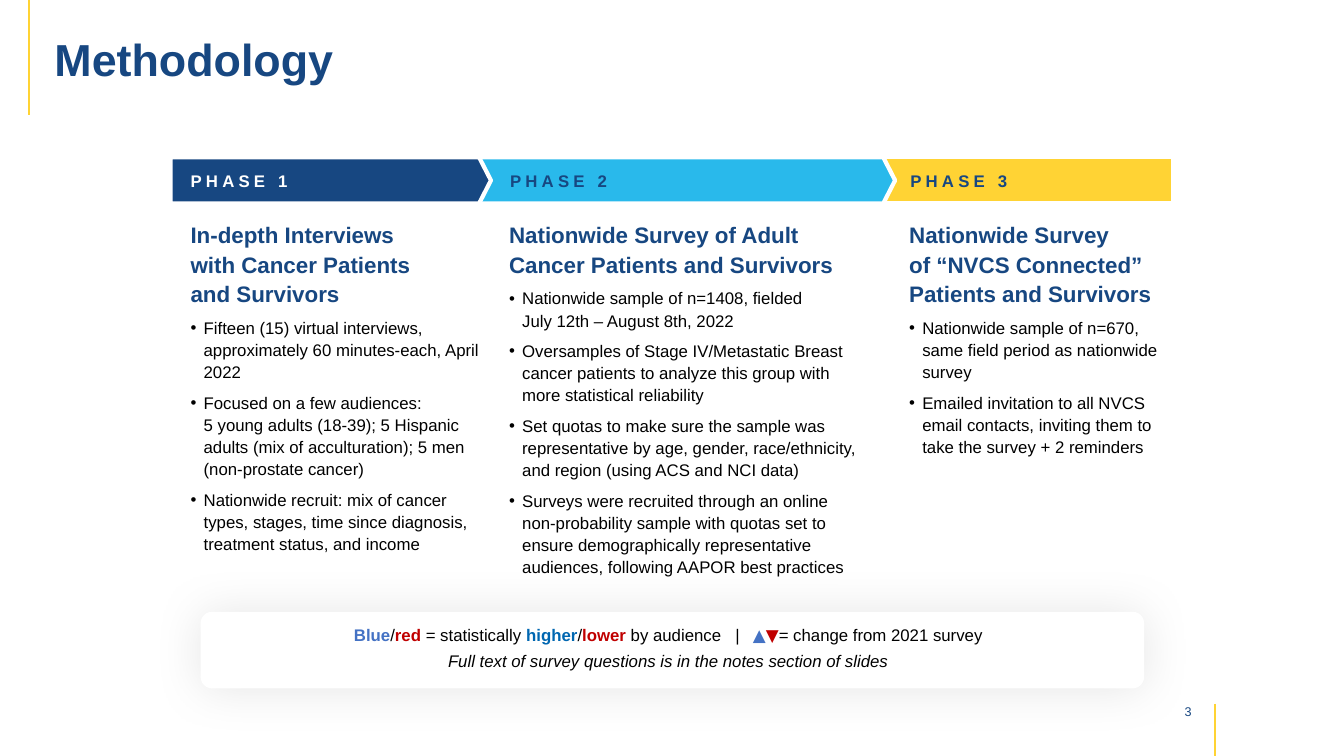
import copy
from dataclasses import dataclass
from typing import Any

import pptx
import pptx.dml.color
import pptx.enum.shapes
import pptx.enum.text
import pptx.oxml
import pptx.oxml.ns
import pptx.util

SHAPE = pptx.enum.shapes.MSO_SHAPE
ALIGN = pptx.enum.text.PP_ALIGN
ANCHOR = pptx.enum.text.MSO_ANCHOR
Pt = pptx.util.Pt
qn = pptx.oxml.ns.qn
NS = 'xmlns:a="http://schemas.openxmlformats.org/drawingml/2006/main"'


@dataclass(frozen=True)
class Theme:
    navy: str = "174781"
    sky: str = "29B9EB"
    yellow: str = "FFD334"
    white: str = "FFFFFF"
    black: str = "000000"
    red: str = "C00000"
    blue: str = "4472C4"
    strong_blue: str = "0067B1"
    font: str = "Arial"
    symbol_font: str = "Calibri"
    title: float = 32
    heading: float = 16
    body: float = 12
    small: float = 9


@dataclass(frozen=True)
class Box:
    x: float
    y: float
    w: float
    h: float


@dataclass(frozen=True)
class Phase:
    label: str
    arrow: Box
    point: float
    inset: float
    fill: str
    ink: str
    column: Box
    heading: str
    bullets: tuple[str, ...]


@dataclass(frozen=True)
class Piece:
    text: str
    color: str = "000000"
    bold: bool = False
    italic: bool = False
    font: str = "Arial"
    tracking: float = 0


T = Theme()
ARROW_Y, ARROW_H, COLUMN_Y = 20.8, 6.13, 28.27

PHASES = (
    Phase("PHASE 1", Box(12.68, ARROW_Y, 23.85, ARROW_H), 0.256, 0.2, T.navy, T.white,
          Box(13.43, COLUMN_Y, 23.18, 46),
          "In-depth Interviews\nwith Cancer Patients\nand Survivors",
          ("Fifteen (15) virtual interviews, approximately 60 minutes-each, April 2022",
           "Focused on a few audiences:\n5 young adults (18-39); 5 Hispanic adults "
           "(mix of acculturation); 5 men (non-prostate cancer)",
           "Nationwide recruit: mix of cancer types, stages, time since diagnosis, "
           "treatment status, and income")),
    Phase("PHASE 2", Box(35.7, ARROW_Y, 30.9, ARROW_H), 0.256, 0.3, T.sky, T.navy,
          Box(37.13, COLUMN_Y, 28.05, 49.07),
          "Nationwide Survey of Adult Cancer Patients and Survivors",
          ("Nationwide sample of n=1408, fielded\nJuly 12th – August 8th, 2022",
           "Oversamples of Stage IV/Metastatic Breast cancer patients to analyze this "
           "group with more statistical reliability",
           "Set quotas to make sure the sample was representative by age, gender, "
           "race/ethnicity, and region (using ACS and NCI data)",
           "Surveys were recruited through an online non-probability sample with quotas "
           "set to ensure demographically representative audiences, following AAPOR "
           "best practices")),
    Phase("PHASE 3", Box(65.48, ARROW_Y, 21.83, ARROW_H), 0, 0.3, T.yellow, T.navy,
          Box(66.9, COLUMN_Y, 20.4, 32.93),
          "Nationwide Survey\nof “NVCS Connected” Patients and Survivors",
          ("Nationwide sample of n=670, same field period as nationwide survey",
           "Emailed invitation to all NVCS email contacts, inviting them to take the "
           "survey + 2 reminders")),
)

LEGEND = (
    (Piece("Blue", T.blue, True), Piece("/"), Piece("red ", T.red, True),
     Piece("= statistically "), Piece("higher", T.strong_blue, True), Piece("/"),
     Piece("lower ", T.red, True), Piece("by audience"), Piece(" |", tracking=6.7),
     Piece(" ▲", T.blue, font=T.symbol_font), Piece("▼", T.red, font=T.symbol_font),
     Piece("= change from 2021 survey")),
    (Piece("Full text of survey questions is in the notes section of slides", italic=True),),
)

prs = pptx.Presentation()
prs.slide_width, prs.slide_height = pptx.util.Inches(13.333), pptx.util.Inches(7.5)
s = prs.slides.add_slide(prs.slide_layouts[4])


def across(share: float) -> int:
    return round(prs.slide_width * share / 100)


def down(share: float) -> int:
    return round(prs.slide_height * share / 100)


def rgb(color: str) -> Any:
    return pptx.dml.color.RGBColor.from_string(color)


def assign(obj: Any, values: dict[str, Any]) -> None:
    for name, value in values.items():
        setattr(obj, name, value)


def corners(box: Box) -> tuple[int, int, int, int]:
    return across(box.x), down(box.y), across(box.w), down(box.h)


def place(sp: Any, box: Box) -> None:
    assign(sp, dict(zip(("left", "top", "width", "height"), corners(box))))


def style(r: Any, size: float, color: str, bold: bool = False, italic: bool = False,
          font: str = T.font, tracking: float = 0) -> None:
    assign(r.font, {"name": font, "size": Pt(size), "bold": bold, "italic": italic})
    r.font.color.rgb = rgb(color)
    if tracking:
        r._r.get_or_add_rPr().set("spc", str(round(tracking * 100)))


def write(p: Any, text: str, size: float, color: str, **look: Any) -> None:
    p.text = text
    for r in p.runs:
        style(r, size, color, **look)
    for br in p._p.findall(qn("a:br")):
        br.append(copy.deepcopy(p.runs[0]._r.rPr))


def bullet(p: Any, char: str = "") -> None:
    pPr = p._p.get_or_add_pPr()
    indent = pptx.util.Inches(0.13) if char else 0
    pPr.set("marL", str(indent))
    pPr.set("indent", str(-indent))
    mark = f'<a:buChar {NS} char="{char}"/>' if char else f"<a:buNone {NS}/>"
    pPr.append(pptx.oxml.parse_xml(mark))


def add_rule(x: float, top: float, bottom: float) -> None:
    line = s.shapes.add_connector(pptx.enum.shapes.MSO_CONNECTOR.STRAIGHT,
                                  across(x), down(top), across(x), down(bottom))
    line.line.color.rgb, line.line.width = rgb(T.yellow), Pt(1.5)
    line._element.spPr.append(pptx.oxml.parse_xml(f"<a:effectLst {NS}/>"))


def add_block(kind: Any, box: Box, fill: str, outline: float, *adjust: float) -> Any:
    sp = s.shapes.add_shape(kind, *corners(box))
    for i, value in enumerate(adjust):
        sp.adjustments[i] = value
    sp.fill.solid()
    sp.fill.fore_color.rgb = rgb(fill)
    if outline:
        sp.line.color.rgb, sp.line.width = rgb(T.white), Pt(outline)
    else:
        sp.line.fill.background()
    sp.shadow.inherit = False
    return sp


def add_text(box: Box) -> Any:
    tf = s.shapes.add_textbox(*corners(box)).text_frame
    tf.word_wrap = True
    return tf


def add_note() -> None:
    sp = add_block(SHAPE.ROUNDED_RECTANGLE, Box(14.93, 80.93, 70.2, 10.13), T.white, 0, 0.15)
    sp._element.spPr.find(qn("a:effectLst")).append(pptx.oxml.parse_xml(
        f'<a:outerShdw {NS} blurRad="{Pt(34.9)}" dist="0" algn="ctr" rotWithShape="0">'
        f'<a:srgbClr val="{T.black}"><a:alpha val="10000"/></a:srgbClr></a:outerShdw>'))
    tf = add_text(Box(18.08, 82, 63.3, 10.13))
    for i, pieces in enumerate(LEGEND):
        p = tf.add_paragraph() if i else tf.paragraphs[0]
        assign(p, {"alignment": ALIGN.CENTER, "space_after": Pt(4)})
        for piece in pieces:
            r = p.add_run()
            r.text = piece.text
            style(r, T.body, piece.color, piece.bold, piece.italic, piece.font, piece.tracking)


def fill_column(sp: Any, phase: Phase) -> None:
    place(sp, phase.column)
    tf = sp.text_frame
    assign(tf, {"vertical_anchor": ANCHOR.TOP, "word_wrap": True,
                "auto_size": pptx.enum.text.MSO_AUTO_SIZE.NONE})
    for i, text in enumerate((phase.heading, *phase.bullets)):
        p = tf.add_paragraph() if i else tf.paragraphs[0]
        assign(p, {"line_spacing": 1.1, "space_before": Pt(6), "alignment": ALIGN.LEFT})
        bullet(p, "•" if i else "")
        write(p, text, T.body if i else T.heading, T.black if i else T.navy, bold=not i)


def add_arrow(phase: Phase) -> None:
    tf = add_block(SHAPE.PENTAGON, phase.arrow, phase.fill, 3, phase.point).text_frame
    assign(tf, {"vertical_anchor": ANCHOR.MIDDLE,
                "margin_left": pptx.util.Inches(phase.inset)})
    p = tf.paragraphs[0]
    p.alignment = ALIGN.LEFT
    write(p, phase.label, T.body, phase.ink, bold=True, tracking=3)


def add_page_number() -> None:
    p = add_text(Box(84.98, 92.4, 4.43, 3.33)).paragraphs[0]
    p.alignment = ALIGN.RIGHT
    write(p, "3", T.small, T.navy)


def main() -> None:
    title, *columns = s.placeholders
    spare = columns.pop()
    spare._element.getparent().remove(spare._element)
    add_rule(2.18, 0, 18.8)
    add_page_number()
    add_rule(90.38, 93.07, 100)
    add_note()
    place(title, Box(3.3, 3.07, 92.93, 10.13))
    title.text_frame.vertical_anchor = ANCHOR.MIDDLE
    p = title.text_frame.paragraphs[0]
    assign(p, {"alignment": ALIGN.LEFT, "line_spacing": 0.9})
    write(p, "Methodology", T.title, T.navy, bold=True)
    for sp, phase in zip(columns, PHASES):
        fill_column(sp, phase)
    for phase in reversed(PHASES):
        add_arrow(phase)
    add_block(SHAPE.RECTANGLE, Box(0.6, 15.33, 3.23, 4.13), T.white, 1)
    prs.save("out.pptx")


if __name__ == "__main__":
    main()
